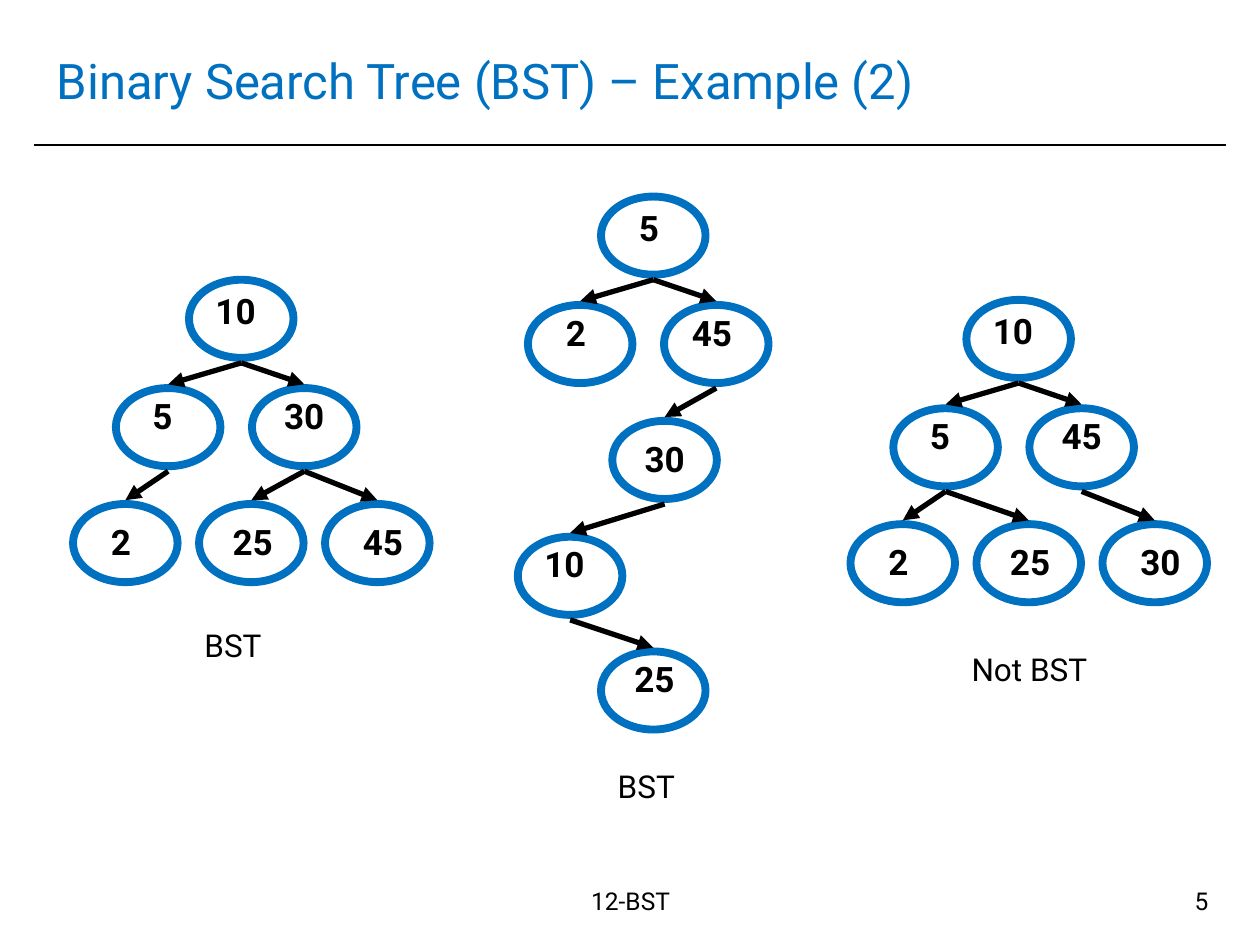
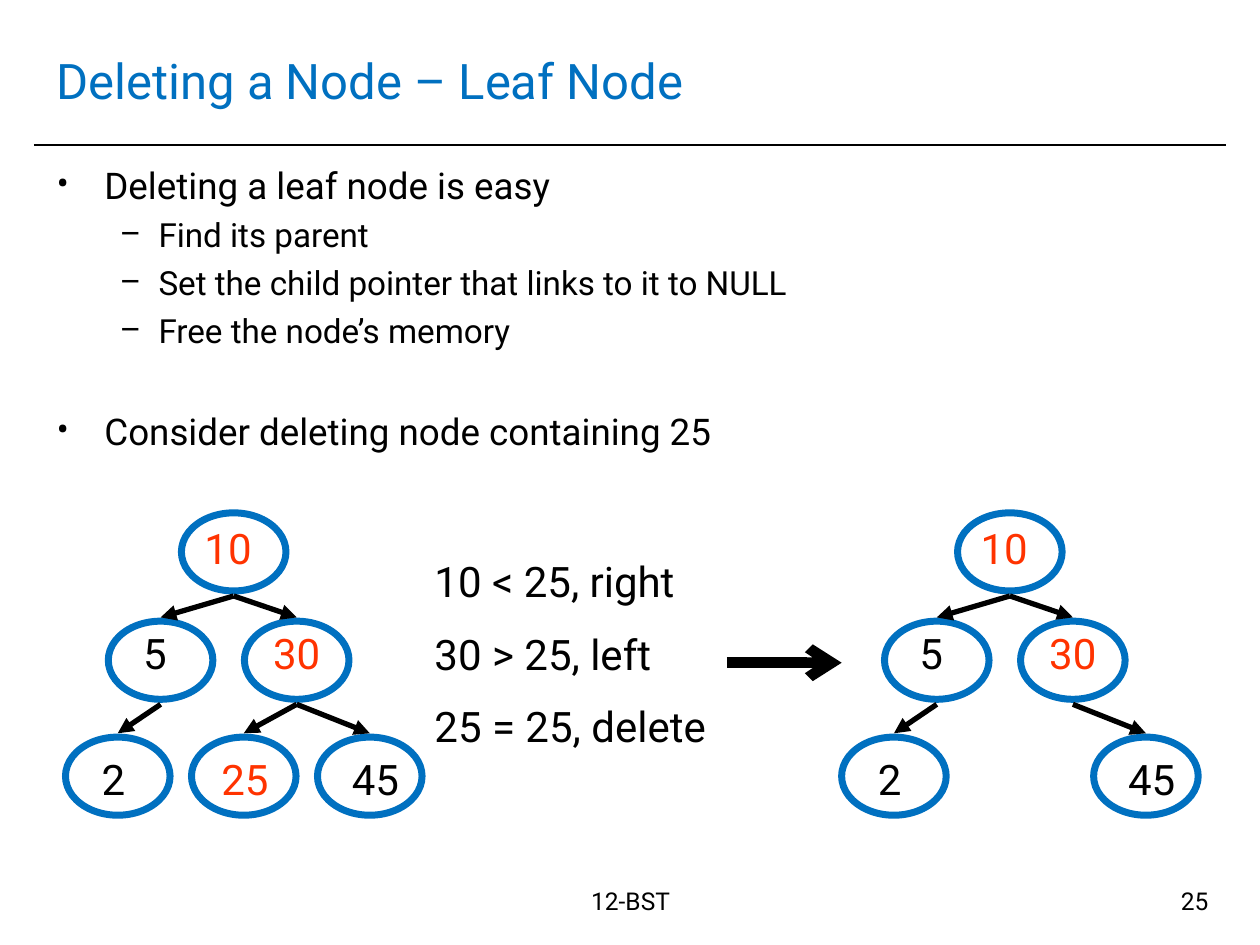
from pptx import Presentation
from pptx.dml.color import RGBColor
from pptx.enum.shapes import MSO_CONNECTOR as Line, MSO_SHAPE as Shape
from pptx.enum.text import MSO_ANCHOR as Anchor, MSO_AUTO_SIZE as Auto, PP_ALIGN as Align
from pptx.oxml.ns import qn
from pptx.util import Inches, Pt
from lxml.etree import SubElement

FONT = "Roboto"
COLORS = {"blue": "0070C0", "black": "000000", "red": "FF3300"}
NODE_W, NODE_H = 0.83, 0.62

# Node slots, relative to the tree's box: x, y, then label dx, dy, width
FULL = {
    "root": (0.92, 0, 0.08, 0.03, 0.58),
    "left": (0.34, 0.86, 0.16, 0, 0.42),
    "right": (1.42, 0.86, 0.08, 0, 0.67),
    "leaf1": (0, 1.78, 0.17, 0.08, 0.42),
    "leaf2": (1, 1.78, 0.09, 0.08, 0.67),
    "leaf3": (2, 1.78, 0.17, 0.08, 0.58),
}
CHAIN = {
    "root": (0.66, 0, 0.17, 0.03, 0.42),
    "left": (0.08, 0.86, 0.17, 0, 0.42),
    "right": (1.16, 0.86, 0.09, 0, 0.58),
    "third": (0.75, 1.78, 0.08, 0.08, 0.67),
    "fourth": (0, 2.7, 0.08, 0, 0.58),
    "last": (0.66, 3.61, 0.09, 0, 0.67),
}
FORK = [("root", "left"), ("root", "right")]


def color(name):
    return RGBColor.from_string(COLORS[name])


def write(frame, text, size=18, ink="black", bold=False, align=Align.LEFT, gap=0):
    """Add one formatted paragraph, using the empty first one if there is one."""
    first = frame.paragraphs[0]
    par = frame.add_paragraph() if first.runs else first
    par.alignment = align
    par.space_before = Pt(gap)
    run = par.add_run()
    run.text = text
    font = run.font
    font.name, font.size, font.bold = FONT, Pt(size), bold
    font.color.rgb = color(ink)
    return par


def frame_at(slide, x, y, w, h, wrap=True):
    frame = slide.shapes.add_textbox(*map(Inches, (x, y, w, h))).text_frame
    frame.word_wrap = wrap
    return frame


def connect(slide, start, end, width, head=None):
    ends = map(Inches, (*start, *end))
    line = slide.shapes.add_connector(Line.STRAIGHT, *ends)
    line.line.color.rgb = color("black")
    line.line.width = Pt(width)
    if head:
        SubElement(line.line._get_or_add_ln(), qn("a:tailEnd"), type=head)
    SubElement(line._element.spPr, qn("a:effectLst"))


def base(deck, title, number):
    """Start a slide with its title, rule and footer."""
    slide = deck.slides.add_slide(deck.slide_layouts[5])
    connect(slide, (0.27, 1.15), (9.73, 1.15), 1)
    head = slide.shapes.title
    head.left, head.top, head.width, head.height = map(Inches, (0.35, 0.21, 9.29, 0.85))
    frame = head.text_frame
    frame.auto_size = Auto.NONE
    frame.vertical_anchor = Anchor.MIDDLE
    write(frame, title, size=28, ink="blue")
    write(frame_at(slide, 3.35, 6.98, 3.31, 0.52), "12-BST", size=14, align=Align.CENTER)
    write(frame_at(slide, 7.36, 6.98, 2.33, 0.52), number, size=14, align=Align.RIGHT)
    return slide


def tree(slide, left, top, slots, values, edges, size=20, bold=True, width=4.5, marked=()):
    """Draw the slots that have a value, and the arrows between them."""
    spots = {name: (left + slots[name][0], top + slots[name][1]) for name in values}
    for x, y in spots.values():
        node = slide.shapes.add_shape(Shape.OVAL, *map(Inches, (x, y, NODE_W, NODE_H)))
        node.shadow.inherit = False
        node.fill.background()
        node.line.color.rgb = color("blue")
        node.line.width = Pt(width)
    for up, down in edges:
        (px, py), (cx, cy) = spots[up], spots[down]
        connect(slide, (px + NODE_W / 2, py + NODE_H + 0.04),
                (cx + NODE_W / 2, cy - 0.03), 3, "triangle")
    for name, value in values.items():
        x, y = spots[name]
        dx, dy, wide = slots[name][2:]
        frame = frame_at(slide, x + dx, y + dy, wide, size / 50 + 0.03, wrap=False)
        write(frame, value, size=size, bold=bold, align=Align.CENTER,
              ink="red" if value in marked else "black")


def fill(names, *values):
    return dict(zip(names, values))


def bullets(slide, x, y, w, h, items):
    frame = frame_at(slide, x, y, w, h)
    for level, text, gap in items:
        size, mark, left, hang = [(21, "•", 0.38, 0.38), (19, "–", 0.81, 0.31)][level]
        par = write(frame, text, size=size, gap=gap)
        par.level = level
        props = par._p.get_or_add_pPr()
        props.set("marL", str(Inches(left)))
        props.set("indent", str(-Inches(hang)))
        SubElement(props, qn("a:buFont"), typeface=FONT)
        SubElement(props, qn("a:buChar"), char=mark)


def examples(deck):
    slide = base(deck, "Binary Search Tree (BST) – Example (2)", "5")
    # Three trees
    tree(slide, 0.58, 2.22, FULL, fill(FULL, "10", "5", "30", "2", "25", "45"),
         FORK + [("left", "leaf1"), ("right", "leaf2"), ("right", "leaf3")])
    tree(slide, 6.75, 2.38, FULL, fill(FULL, "10", "5", "45", "2", "25", "30"),
         FORK + [("left", "leaf1"), ("left", "leaf2"), ("right", "leaf3")])
    tree(slide, 4.11, 1.56, CHAIN, fill(CHAIN, "5", "2", "45", "30", "10", "25"),
         FORK + [("right", "third"), ("third", "fourth"), ("fourth", "last")])
    # Captions
    for x, y, text in [(1.03, 4.92, "BST"), (4.31, 6.04, "BST"), (7.35, 5.11, "Not BST")]:
        write(frame_at(slide, x, y, 1.64, 0.4), text, align=Align.CENTER)


def removal(deck):
    slide = base(deck, "Deleting a Node – Leaf Node", "25")
    bullets(slide, 0.35, 1.24, 9.29, 2.5, [
        (0, "Deleting a leaf node is easy", 0),
        (1, "Find its parent", 4.5),
        (1, "Set the child pointer that links to it to NULL", 4.5),
        (1, "Free the node’s memory", 4.5),
        (0, "Consider deleting node containing 25", 33.5),
    ])
    # Trees before and after
    before = fill(FULL, "10", "5", "30", "2", "25", "45")
    after = {name: value for name, value in before.items() if value != "25"}
    edges = FORK + [("left", "leaf1"), ("right", "leaf2"), ("right", "leaf3")]
    for left, values in [(0.52, before), (6.68, after)]:
        tree(slide, left, 4.07, FULL, values, [e for e in edges if e[1] in values],
             size=24, bold=False, width=4, marked=("10", "30", "25"))
    # Search steps and the arrow to the result
    steps = frame_at(slide, 3.35, 4.36, 2.5, 1.72)
    for i, text in enumerate(["10 < 25, right", "30 > 25, left", "25 = 25, delete"]):
        write(steps, text, size=24, gap=12.7 if i else 0)
    connect(slide, (5.77, 5.26), (6.68, 5.26), 6, "arrow")


def main():
    deck = Presentation()
    deck.slide_width, deck.slide_height = Inches(10), Inches(7.5)
    examples(deck)
    removal(deck)
    deck.save("out.pptx")


if __name__ == "__main__":
    main()
